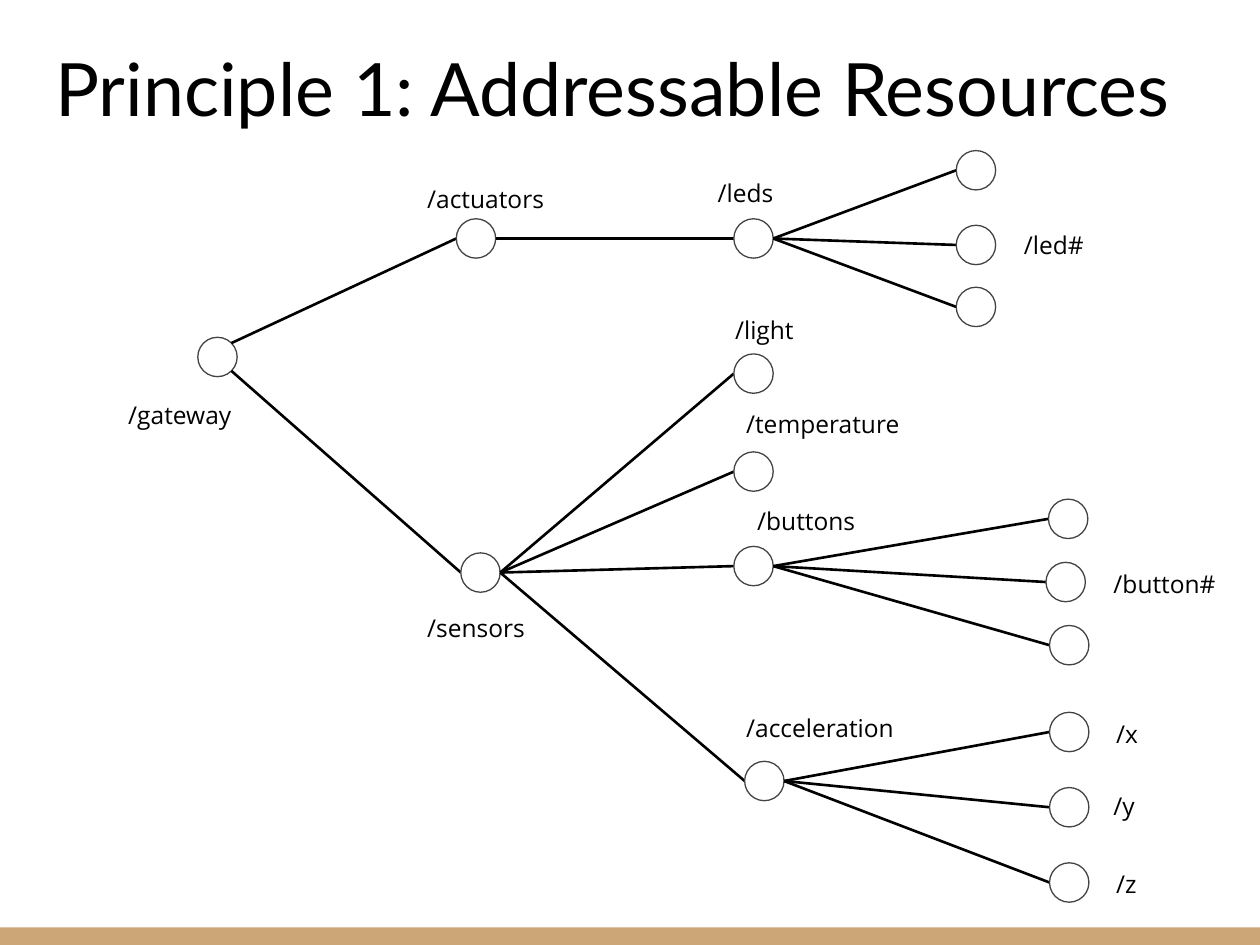
import math
from dataclasses import dataclass

from lxml import etree
from pptx import Presentation
from pptx.dml.color import RGBColor
from pptx.enum.shapes import MSO_CONNECTOR, MSO_SHAPE
from pptx.enum.text import MSO_ANCHOR
from pptx.oxml.ns import qn
from pptx.util import Pt

STRAIGHT = MSO_CONNECTOR.STRAIGHT
CIRCLE = MSO_SHAPE.FLOWCHART_CONNECTOR
RECTANGLE = MSO_SHAPE.RECTANGLE
TOP, BOTTOM = MSO_ANCHOR.TOP, MSO_ANCHOR.BOTTOM

COLORS = {"text": "000000", "edge": "000000", "node": "FFFFFF",
          "outline": "434343", "footer": "CCA677"}
WIDTH, HEIGHT = 720, 540
RADIUS = 11.25
FOOTER_HEIGHT = 10


@dataclass
class Node:
    """A resource circle, placed by its centre."""
    x: float
    y: float
    children: tuple["Node", ...] = ()


@dataclass
class Label:
    text: str
    left: float
    top: float
    width: float = 83.5


LEDS = Node(430.6, 136.3, tuple(Node(557.7, y) for y in (97.3, 140, 175.4)))
BUTTONS = Node(430.6, 323.5, (Node(610.4, 296.5), Node(609, 332.6), Node(611, 368.7)))
ACCELERATION = Node(436.8, 446.3, tuple(Node(611, 418.3 + 43 * i) for i in range(3)))
LIGHT = Node(430.6, 213.5)
TEMPERATURE = Node(430.6, 269.5)
ACTUATORS = Node(272, 136.3, (LEDS,))
SENSORS = Node(274.6, 327.2, (LIGHT, TEMPERATURE, BUTTONS, ACCELERATION))
GATEWAY = Node(124.3, 204, (ACTUATORS, SENSORS))

LABELS = (
    Label("/gateway", 66.2, 221.2),
    Label("/actuators", 237, 97.8),
    Label("/sensors", 237, 343),
    Label("/leds", 403, 94.3),
    Label("/led#", 578, 124.3),
    Label("/light", 413, 172.8),
    Label("/temperature", 419.3, 226.7, 116),
    Label("/buttons", 425.6, 281.8, 116),
    Label("/button#", 629.2, 317.8),
    Label("/acceleration", 419.3, 400.3, 116),
    Label("/x", 630.8, 403.8),
    Label("/y", 629.2, 445),
    Label("/z", 630.8, 489.6),
)


def rgb(name: str) -> RGBColor:
    return RGBColor.from_string(COLORS[name])


def add_text(s, label: Label, height: float, size: float, font: str, anchor=TOP) -> None:
    tf = s.shapes.add_textbox(Pt(label.left), Pt(label.top),
                              Pt(label.width), Pt(height)).text_frame
    tf.word_wrap = True
    tf.vertical_anchor = anchor
    tf.margin_left = tf.margin_right = tf.margin_top = tf.margin_bottom = Pt(7.2)
    tf.text = label.text
    f = tf.paragraphs[0].runs[0].font
    f.name, f.size = font, Pt(size)
    f.color.rgb = rgb("text")


def add_edge(s, parent: Node, child: Node) -> None:
    """Leave the root on its diagonal, any other node on its right side."""
    dx, dy = RADIUS, 0.0
    if parent is GATEWAY:
        dx = RADIUS * math.sqrt(0.5)
        dy = math.copysign(dx, child.y - parent.y)
    line = s.shapes.add_connector(STRAIGHT, Pt(parent.x + dx), Pt(parent.y + dy),
                                  Pt(child.x - RADIUS), Pt(child.y))
    line.line.color.rgb = rgb("edge")
    line.line.width = Pt(1.5)
    etree.SubElement(line._element.spPr, qn("a:effectLst"))


def add_tree(s, node: Node) -> None:
    """Draw a node, then its edges and subtrees."""
    sp = s.shapes.add_shape(CIRCLE, Pt(node.x - RADIUS), Pt(node.y - RADIUS),
                            Pt(2 * RADIUS), Pt(2 * RADIUS))
    sp.shadow.inherit = False
    sp.fill.solid()
    sp.fill.fore_color.rgb = rgb("node")
    sp.line.color.rgb = rgb("outline")
    sp.line.width = Pt(0.75)
    for child in node.children:
        add_edge(s, node, child)
        add_tree(s, child)


def add_footer(s) -> None:
    sp = s.shapes.add_shape(RECTANGLE, 0, Pt(HEIGHT - FOOTER_HEIGHT),
                            Pt(WIDTH), Pt(FOOTER_HEIGHT))
    sp.shadow.inherit = False
    sp.fill.solid()
    sp.fill.fore_color.rgb = rgb("footer")
    sp.line.fill.background()


def main() -> None:
    prs = Presentation()
    prs.slide_width, prs.slide_height = Pt(WIDTH), Pt(HEIGHT)
    s = prs.slides.add_slide(prs.slide_layouts[6])
    add_footer(s)
    title = Label("Principle 1: Addressable Resources", 24.5, 33, 671)
    add_text(s, title, 49, 42, "Lato", BOTTOM)
    add_tree(s, GATEWAY)
    for label in LABELS:
        add_text(s, label, 29.5, 14, "Open Sans")
    prs.save("out.pptx")


if __name__ == "__main__":
    main()
